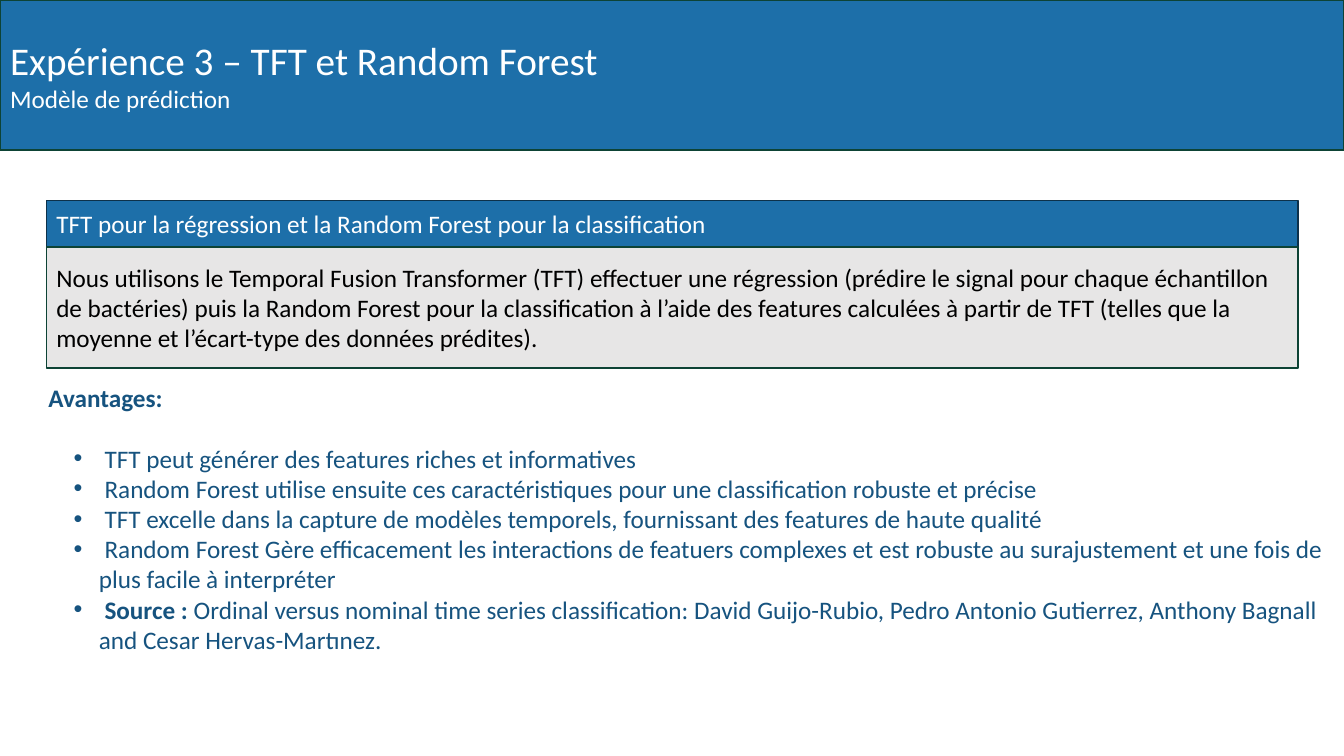
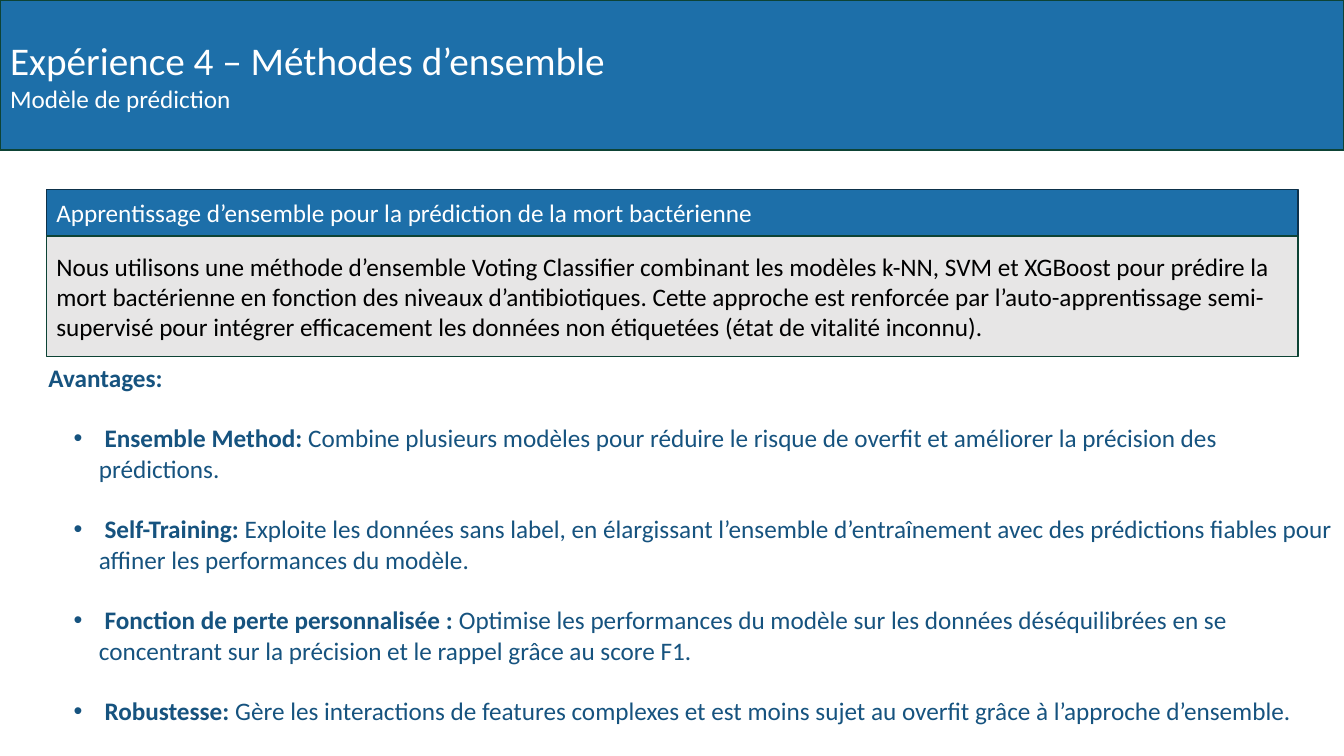
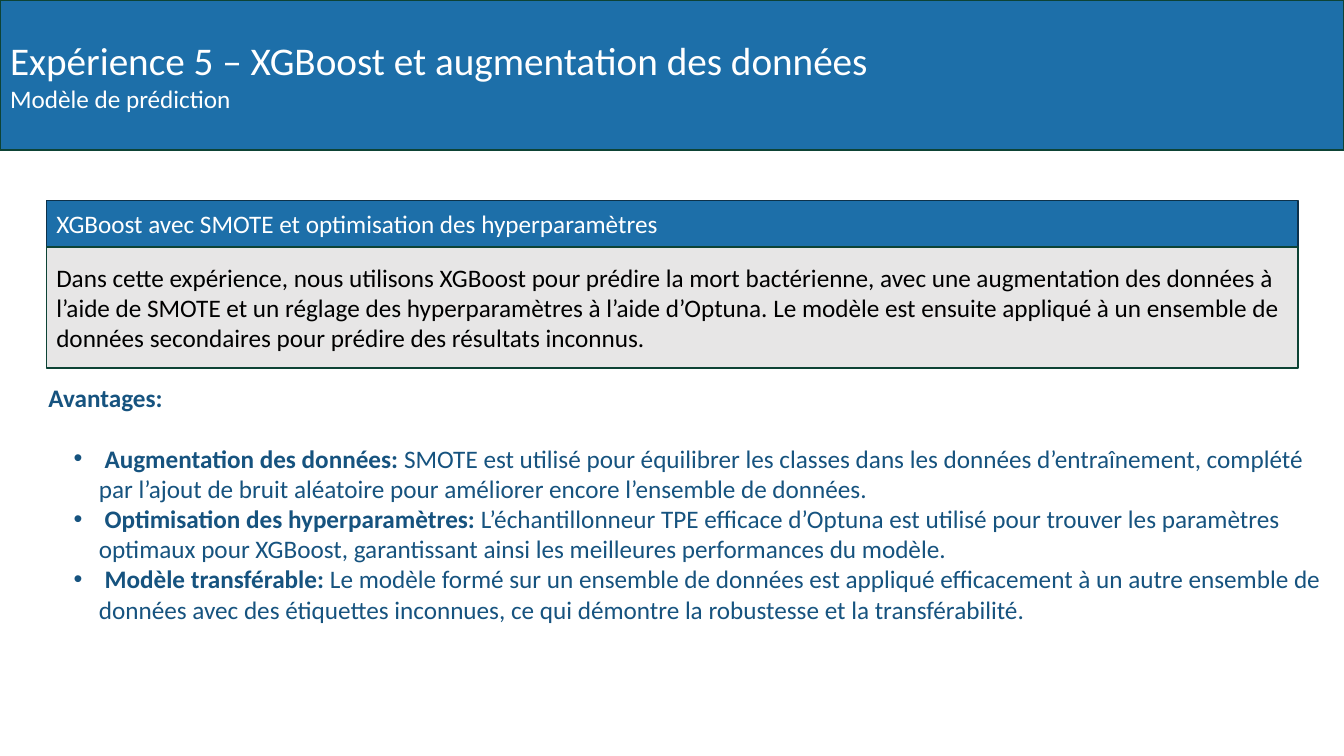
"""Builds three slides on prediction experiments, each with a banner, a summary card and a list of advantages."""
from lxml import etree
from pptx import Presentation
from pptx.dml.color import RGBColor
from pptx.enum.shapes import MSO_SHAPE
from pptx.enum.text import MSO_ANCHOR, MSO_AUTO_SIZE, PP_ALIGN
from pptx.oxml.ns import qn
from pptx.util import Pt

RECTANGLE = MSO_SHAPE.RECTANGLE
LEFT = PP_ALIGN.LEFT
TOP, MIDDLE = MSO_ANCHOR.TOP, MSO_ANCHOR.MIDDLE
NO_AUTOFIT = MSO_AUTO_SIZE.NONE

BLUE = RGBColor(0x1D, 0x6F, 0xA9)
GREY = RGBColor(0xE7, 0xE6, 0xE6)
GREEN_EDGE = RGBColor(0x0D, 0x43, 0x35)
NAVY_EDGE = RGBColor(0x0D, 0x31, 0x4A)
LIST_BLUE = RGBColor(0x16, 0x53, 0x7F)
WHITE = RGBColor(0xFF, 0xFF, 0xFF)
BLACK = RGBColor(0, 0, 0)

FONT = "Calibri"
TITLE_SIZE, TEXT_SIZE = 28, 18
LINE_HEIGHT = 21.8
SLIDE_W, SLIDE_H = 960, 540
BANNER_H = 107.3
CARD_LEFT, CARD_W = 33.1, 894.2
HEADING_H, SUMMARY_H = 33.1, 86.4
LIST_LEFT = 27.4
BULLET_MARGIN, BULLET_HANG = 36, 18

SUBTITLE = "Modèle de prédiction"
LIST_HEADING = "Avantages:"

EXPERIMENTS = [
    {
        "title": "Expérience 3 – TFT et Random Forest",
        "heading": "TFT pour la régression et la Random Forest pour la classification",
        "summary": "Nous utilisons le Temporal Fusion Transformer (TFT) effectuer une régression "
                   "(prédire le signal pour chaque échantillon de bactéries) puis la Random Forest "
                   "pour la classification à l’aide des features calculées à partir de TFT (telles "
                   "que la moyenne et l’écart-type des données prédites).",
        "advantages": [
            ("", "TFT peut générer des features riches et informatives"),
            ("", "Random Forest utilise ensuite ces caractéristiques pour une classification "
                 "robuste et précise"),
            ("", "TFT excelle dans la capture de modèles temporels, fournissant des features de "
                 "haute qualité"),
            ("", "Random Forest Gère efficacement les interactions de featuers complexes et est "
                 "robuste au surajustement et une fois de plus facile à interpréter"),
            ("Source : ", "Ordinal versus nominal time series classification: David Guijo-Rubio, "
                          "Pedro Antonio Gutierrez, Anthony Bagnall and Cesar Hervas-Martınez."),
        ],
        "card_top": 143.3, "list_top": 269.3, "list_height": 203.8, "gap": 0,
    },
    {
        "title": "Expérience 4 – Méthodes d’ensemble",
        "heading": "Apprentissage d’ensemble pour la prédiction de la mort bactérienne",
        "summary": "Nous utilisons une méthode d’ensemble Voting Classifier combinant les modèles "
                   "k-NN, SVM et XGBoost pour prédire la mort bactérienne en fonction des niveaux "
                   "d’antibiotiques. Cette approche est renforcée par l’auto-apprentissage "
                   "semi-supervisé pour intégrer efficacement les données non étiquetées (état de "
                   "vitalité inconnu).",
        "advantages": [
            ("Ensemble Method: ", "Combine plusieurs modèles pour réduire le risque de overfit et "
                                  "améliorer la précision des prédictions."),
            ("Self-Training: ", "Exploite les données sans label, en élargissant l’ensemble "
                                "d’entraînement avec des prédictions fiables pour affiner les "
                                "performances du modèle."),
            ("Fonction de perte personnalisée : ", "Optimise les performances du modèle sur les "
                                                   "données déséquilibrées en se concentrant sur la "
                                                   "précision et le rappel grâce au score F1."),
            ("Robustesse: ", "Gère les interactions de features complexes et est moins sujet au "
                             "overfit grâce à l’approche d’ensemble."),
        ],
        "card_top": 135.4, "list_top": 254.9, "list_height": 269.3, "gap": LINE_HEIGHT,
    },
    {
        "title": "Expérience 5 – XGBoost et augmentation des données",
        "heading": "XGBoost avec SMOTE et optimisation des hyperparamètres",
        "summary": "Dans cette expérience, nous utilisons XGBoost pour prédire la mort bactérienne, "
                   "avec une augmentation des données à l’aide de SMOTE et un réglage des "
                   "hyperparamètres à l’aide d’Optuna. Le modèle est ensuite appliqué à un ensemble "
                   "de données secondaires pour prédire des résultats inconnus.",
        "advantages": [
            ("Augmentation des données: ", "SMOTE est utilisé pour équilibrer les classes dans les "
                                           "données d’entraînement, complété par l’ajout de bruit "
                                           "aléatoire pour améliorer encore l’ensemble de données."),
            ("Optimisation des hyperparamètres: ", "L’échantillonneur TPE efficace d’Optuna est "
                                                   "utilisé pour trouver les paramètres optimaux "
                                                   "pour XGBoost, garantissant ainsi les meilleures "
                                                   "performances du modèle."),
            ("Modèle transférable: ", "Le modèle formé sur un ensemble de données est appliqué "
                                      "efficacement à un autre ensemble de données avec des "
                                      "étiquettes inconnues, ce qui démontre la robustesse et la "
                                      "transférabilité."),
        ],
        "card_top": 143.3, "list_top": 269.3, "list_height": 181.4, "gap": 0,
    },
]


def place(shape, left, top, width, height):
    shape.left, shape.top, shape.width, shape.height = map(Pt, (left, top, width, height))


def style(paragraph, size, color, bold=False, space_before=0):
    paragraph.alignment = LEFT
    paragraph.line_spacing = 1.0
    paragraph.space_before = Pt(space_before)
    font = paragraph.font
    font.name, font.size, font.bold = FONT, Pt(size), bold
    font.color.rgb = color


def frame_text(shape, anchor):
    frame = shape.text_frame
    frame.word_wrap = True
    frame.auto_size = NO_AUTOFIT
    frame.vertical_anchor = anchor
    return frame


def fill_panel(shape, fill, edge, lines, color):
    shape.shadow.inherit = False
    shape.fill.solid()
    shape.fill.fore_color.rgb = fill
    shape.line.color.rgb = edge
    shape.line.width = Pt(1)
    frame = frame_text(shape, MIDDLE)
    frame.text = "\n".join(text for text, _ in lines)
    for paragraph, (_, size) in zip(frame.paragraphs, lines):
        style(paragraph, size, color)


def set_bullet(paragraph, margin, hang, char=None):
    properties = paragraph._p.get_or_add_pPr()
    properties.set("marL", str(Pt(margin)))
    properties.set("indent", str(-Pt(hang)))
    if char:
        etree.SubElement(properties, qn("a:buFont")).set("typeface", "Arial")
        etree.SubElement(properties, qn("a:buChar")).set("char", char)
    else:
        etree.SubElement(properties, qn("a:buNone"))


def fill_advantages(body, advantages, gap):
    frame = frame_text(body, TOP)
    heading = frame.paragraphs[0]
    heading.text = LIST_HEADING
    set_bullet(heading, 0, 0)
    style(heading, TEXT_SIZE, LIST_BLUE, bold=True)
    for index, (lead, text) in enumerate(advantages):
        item = frame.add_paragraph()
        item.level = 1
        set_bullet(item, BULLET_MARGIN, BULLET_HANG, "•")
        style(item, TEXT_SIZE, LIST_BLUE, space_before=gap if index else LINE_HEIGHT)
        if lead:
            lead_run = item.add_run()
            lead_run.text = " " + lead
            lead_run.font.bold = True
        item.add_run().text = text if lead else " " + text


def build_slide(deck, experiment):
    slide = deck.slides.add_slide(deck.slide_layouts[1])
    banner, advantages = slide.placeholders
    place(banner, 0, 0, SLIDE_W, BANNER_H)
    fill_panel(banner, BLUE, GREEN_EDGE,
               [(experiment["title"], TITLE_SIZE), (SUBTITLE, TEXT_SIZE)], WHITE)

    top = experiment["card_top"]
    for part, height, fill, edge, color in (
        ("heading", HEADING_H, BLUE, NAVY_EDGE, WHITE),
        ("summary", SUMMARY_H, GREY, GREEN_EDGE, BLACK),
    ):
        panel = slide.shapes.add_shape(RECTANGLE, Pt(CARD_LEFT), Pt(top), Pt(CARD_W), Pt(height))
        fill_panel(panel, fill, edge, [(experiment[part], TEXT_SIZE)], color)
        top += height

    place(advantages, LIST_LEFT, experiment["list_top"],
          SLIDE_W - LIST_LEFT, experiment["list_height"])
    fill_advantages(advantages, experiment["advantages"], experiment["gap"])


def main():
    deck = Presentation()
    deck.slide_width, deck.slide_height = Pt(SLIDE_W), Pt(SLIDE_H)
    for experiment in EXPERIMENTS:
        build_slide(deck, experiment)
    deck.save("out.pptx")


if __name__ == "__main__":
    main()
